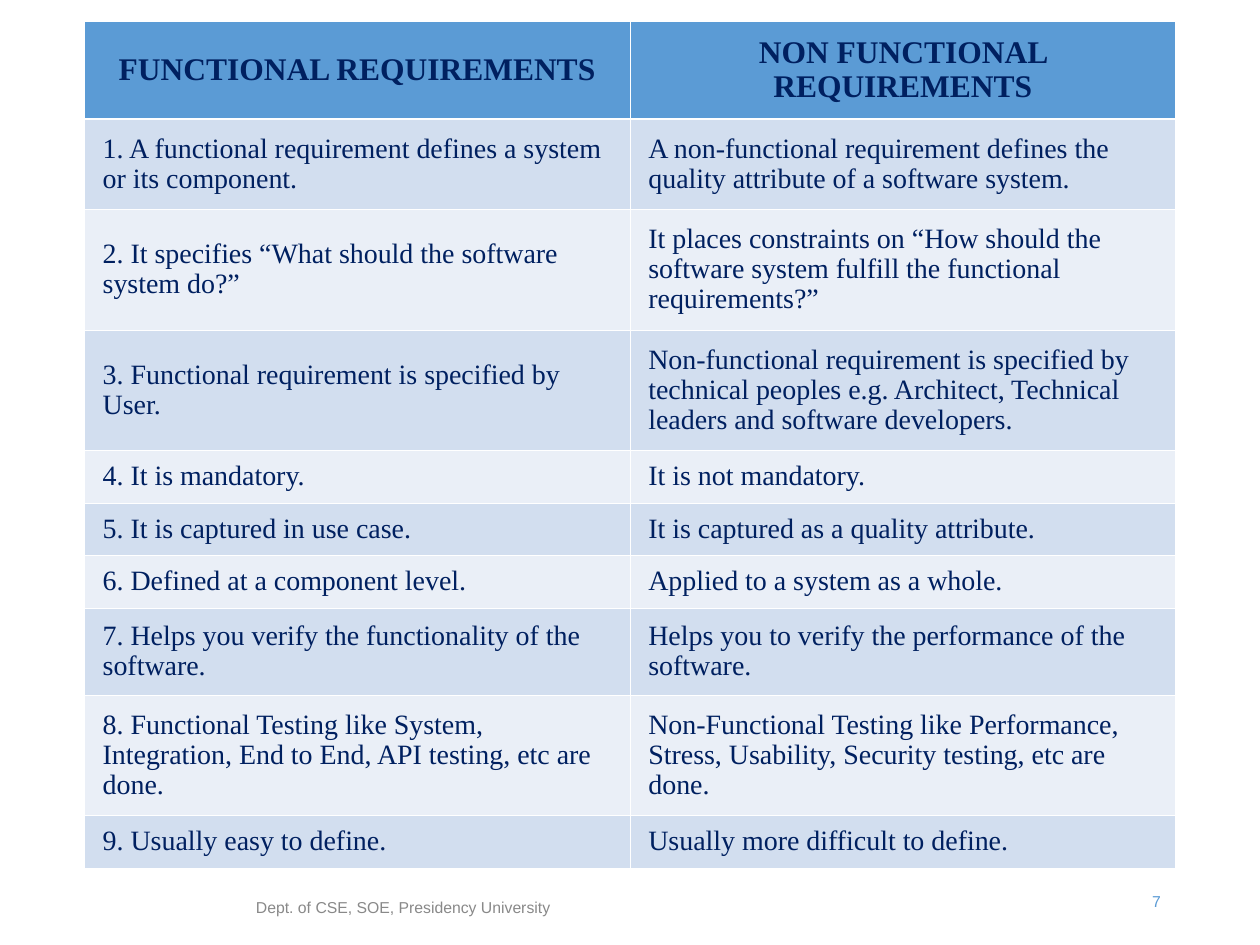
import pptx
import pptx.util
import pptx.dml.color
import pptx.enum.text
import pptx.oxml
import pptx.oxml.ns
import lxml.etree

Cm = pptx.util.Cm
Pt = pptx.util.Pt
RGBColor = pptx.dml.color.RGBColor
ALIGN = pptx.enum.text.PP_ALIGN
MIDDLE = pptx.enum.text.MSO_ANCHOR.MIDDLE

NAVY = RGBColor(0x00, 0x20, 0x60)
BLUE = RGBColor(0x5B, 0x9B, 0xD5)
BAND_DARK = RGBColor(0xD2, 0xDE, 0xEF)
BAND_LIGHT = RGBColor(0xEA, 0xEF, 0xF7)
GREY = RGBColor(0x89, 0x89, 0x89)
WHITE = RGBColor(0xFF, 0xFF, 0xFF)

ROWS = [
    (1.96, "FUNCTIONAL REQUIREMENTS", "NON FUNCTIONAL REQUIREMENTS"),
    (1.82, "1. A functional requirement defines a system or its component.",
     "A non-functional requirement defines the quality attribute of a software system."),
    (2.43, "2. It specifies “What should the software system do?”",
     "It places constraints on “How should the software system fulfill the functional requirements?”"),
    (2.43, "3. Functional requirement is specified by User.",
     "Non-functional requirement is specified by technical peoples e.g. Architect, "
     "Technical leaders and software developers."),
    (1.06, "4. It is mandatory.", "It is not mandatory."),
    (1.06, "5. It is captured in use case.", "It is captured as a quality attribute."),
    (1.06, "6. Defined at a component level.", "Applied to a system as a whole."),
    (1.76, "7. Helps you verify the functionality of the software.",
     "Helps you to verify the performance of the software."),
    (2.42, "8. Functional Testing like System, Integration, End to End, API testing, etc are done.",
     "Non-Functional Testing like Performance, Stress, Usability, Security testing, etc are done."),
    (1.06, "9. Usually easy to define.", "Usually more difficult to define."),
]


def write(frame, text, size, font, color, align, bold=False, spacing=None):
    frame.word_wrap = True
    para = frame.paragraphs[0]
    para.alignment = align
    para.line_spacing = spacing
    span = para.add_run()
    span.text = text
    span.font.size = Pt(size)
    span.font.name = font
    span.font.bold = bold
    span.font.color.rgb = color


def add_border(cell, side, width):
    properties = cell._tc.get_or_add_tcPr()
    line = lxml.etree.SubElement(properties, pptx.oxml.ns.qn(f"a:{side}"), w=str(Pt(width)))
    fill = lxml.etree.SubElement(line, pptx.oxml.ns.qn("a:solidFill"))
    lxml.etree.SubElement(fill, pptx.oxml.ns.qn("a:srgbClr"), val=str(WHITE))


deck = pptx.Presentation()
deck.slide_width = Cm(25.4)
deck.slide_height = Cm(19.05)
page = deck.slides.add_slide(deck.slide_layouts[6])

total_height = sum(row[0] for row in ROWS)
table = page.shapes.add_table(
    len(ROWS), 2, Cm(1.7), Cm(0.44), Cm(22), Cm(total_height)).table
for column in table.columns:
    column.width = Cm(11)

for row_index, (height, *texts) in enumerate(ROWS):
    table.rows[row_index].height = Cm(height)
    header = row_index == 0
    for column_index, text in enumerate(texts):
        cell = table.cell(row_index, column_index)
        cell.vertical_anchor = MIDDLE
        cell.margin_left = cell.margin_right = Cm(0.2 if header else 0.37)
        cell.margin_top = cell.margin_bottom = Cm(0.13)
        add_border(cell, "lnL", 0.45)
        add_border(cell, "lnR", 0.45)
        add_border(cell, "lnT", 1.47 if row_index == 1 else 0.45)
        add_border(cell, "lnB", 1.47 if header else 0.45)
        cell.fill.solid()
        cell.fill.fore_color.rgb = BLUE if header else BAND_DARK if row_index % 2 else BAND_LIGHT
        write(cell.text_frame, text, size=18 if header else 16, font="Times New Roman",
              color=NAVY, align=ALIGN.CENTER if header else ALIGN.LEFT,
              bold=header, spacing=0.97)

for left, top, width, text, color, align in [
    (1.7, 17.78, 12.85, "Dept. of CSE, SOE, Presidency University", GREY, ALIGN.CENTER),
    (17.93, 17.65, 5.72, "7", BLUE, ALIGN.RIGHT),
]:
    box = page.shapes.add_textbox(Cm(left), Cm(top), Cm(width), Cm(1.02))
    box.text_frame.vertical_anchor = MIDDLE
    write(box.text_frame, text, size=9, font="Arial", color=color, align=align)

deck.save("out.pptx")
